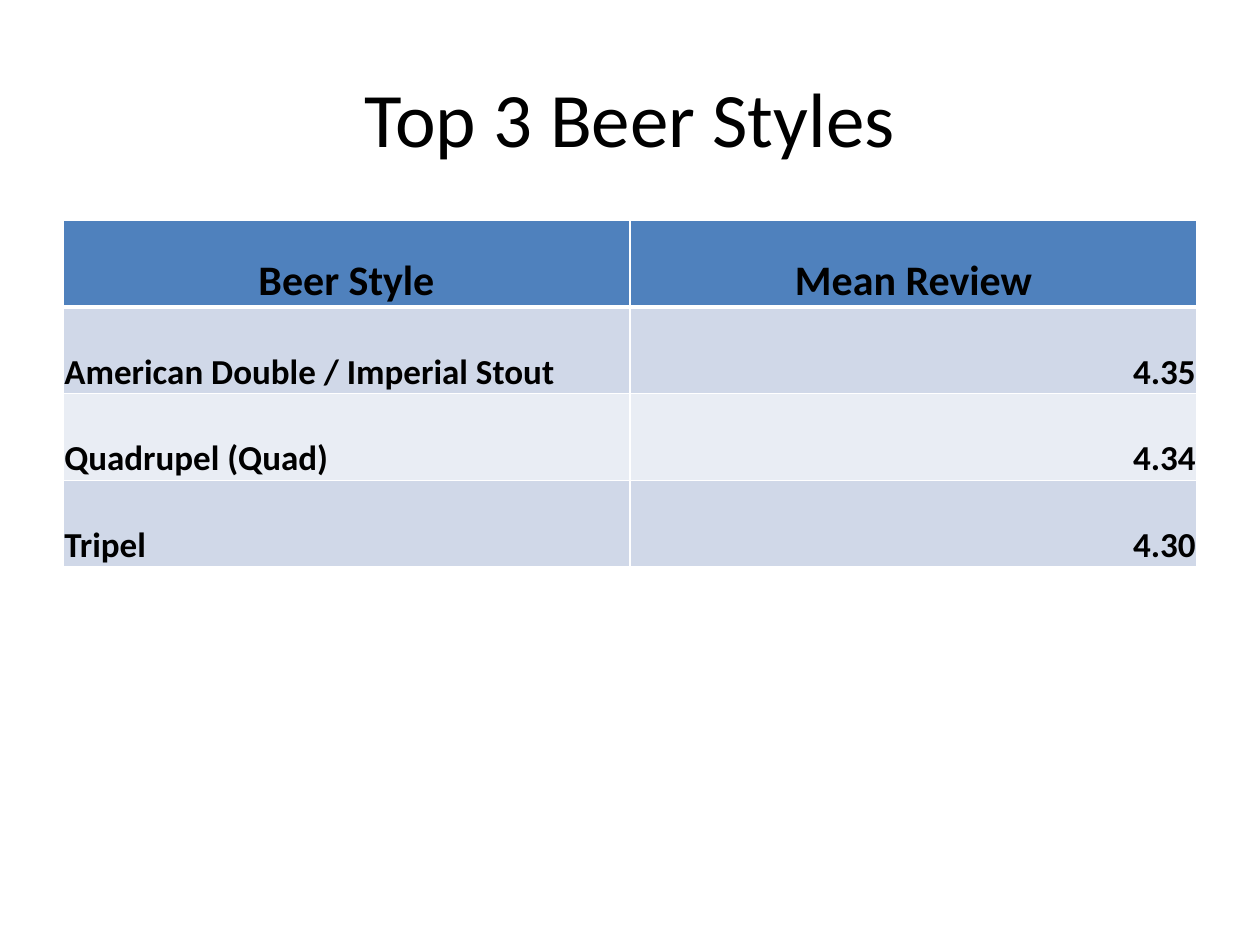
import pptx
import pptx.util
import pptx.dml.color
import pptx.enum.text
import pptx.oxml.ns
import lxml.etree

Pt = pptx.util.Pt
ALIGN = pptx.enum.text.PP_ALIGN
ANCHOR = pptx.enum.text.MSO_ANCHOR
COLORS = {"text": "000000", "header": "4F81BD", "odd": "D0D8E8",
          "even": "E9EDF4", "border": "FFFFFF"}


def style_font(paragraph, size, bold):
    """Set the typeface, size, weight and colour of a paragraph."""
    paragraph.font.name = "Calibri"
    paragraph.font.size = Pt(size)
    paragraph.font.bold = bold
    paragraph.font.color.rgb = pptx.dml.color.RGBColor.from_string(COLORS["text"])


def add_border(cell, side, width):
    """Draw one side (lnL, lnR, lnT or lnB) of a cell; call before filling it."""
    qn = pptx.oxml.ns.qn
    line = lxml.etree.SubElement(cell._tc.get_or_add_tcPr(), qn(f"a:{side}"), w=str(Pt(width)))
    fill = lxml.etree.SubElement(line, qn("a:solidFill"))
    lxml.etree.SubElement(fill, qn("a:srgbClr"), val=COLORS["border"])


deck = pptx.Presentation()
deck.slide_width, deck.slide_height = Pt(720), Pt(540)
slide = deck.slides.add_slide(deck.slide_layouts[5])

title = slide.shapes.title
title.left, title.top, title.width, title.height = Pt(36), Pt(21.6), Pt(648), Pt(90)
title.text_frame.text = "Top 3 Beer Styles"
title.text_frame.vertical_anchor = ANCHOR.MIDDLE
title.text_frame.paragraphs[0].alignment = ALIGN.CENTER
style_font(title.text_frame.paragraphs[0], 44, False)

reviews = [
    ("Beer Style", "Mean Review"),
    ("American Double / Imperial Stout", "4.35"),
    ("Quadrupel (Quad)", "4.34"),
    ("Tripel", "4.30"),
]
table = slide.shapes.add_table(len(reviews), 2, Pt(36), Pt(126), Pt(648), Pt(198)).table

for row, review in enumerate(reviews):
    is_header = row == 0
    band = "header" if is_header else "odd" if row % 2 else "even"
    for column, wording in enumerate(review):
        cell = table.cell(row, column)
        cell.text = wording
        cell.vertical_anchor = ANCHOR.BOTTOM
        cell.margin_left = cell.margin_right = cell.margin_top = Pt(0.75)
        cell.margin_bottom = Pt(0)
        for side in ("lnL", "lnR", "lnT", "lnB"):
            below_header = (row, side) in ((0, "lnB"), (1, "lnT"))
            add_border(cell, side, 3 if below_header else 1)
        cell.fill.solid()
        cell.fill.fore_color.rgb = pptx.dml.color.RGBColor.from_string(COLORS[band])
        paragraph = cell.text_frame.paragraphs[0]
        paragraph.alignment = ALIGN.CENTER if is_header else (ALIGN.LEFT, ALIGN.RIGHT)[column]
        style_font(paragraph, 24 if is_header else 20, True)

deck.save("out.pptx")
